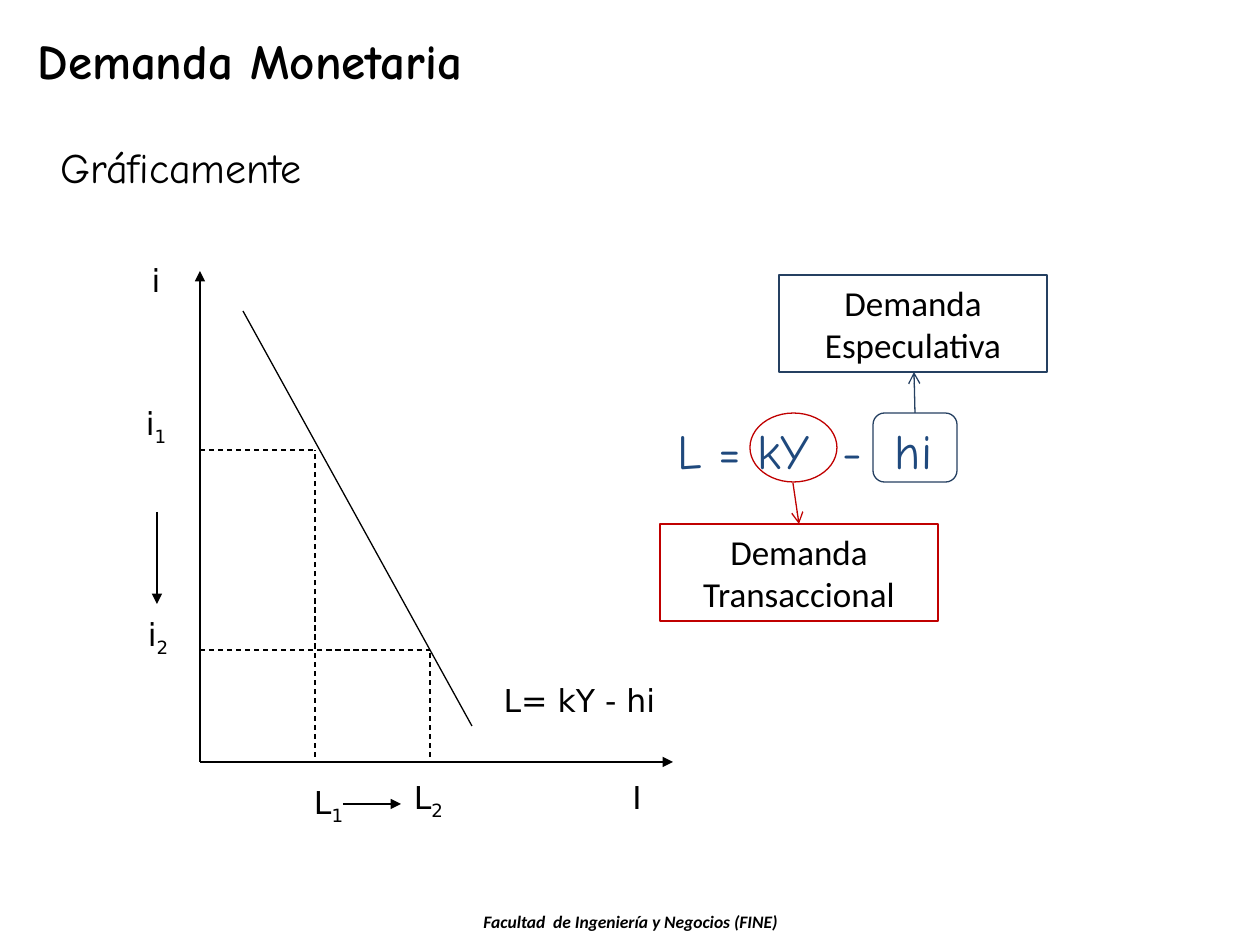
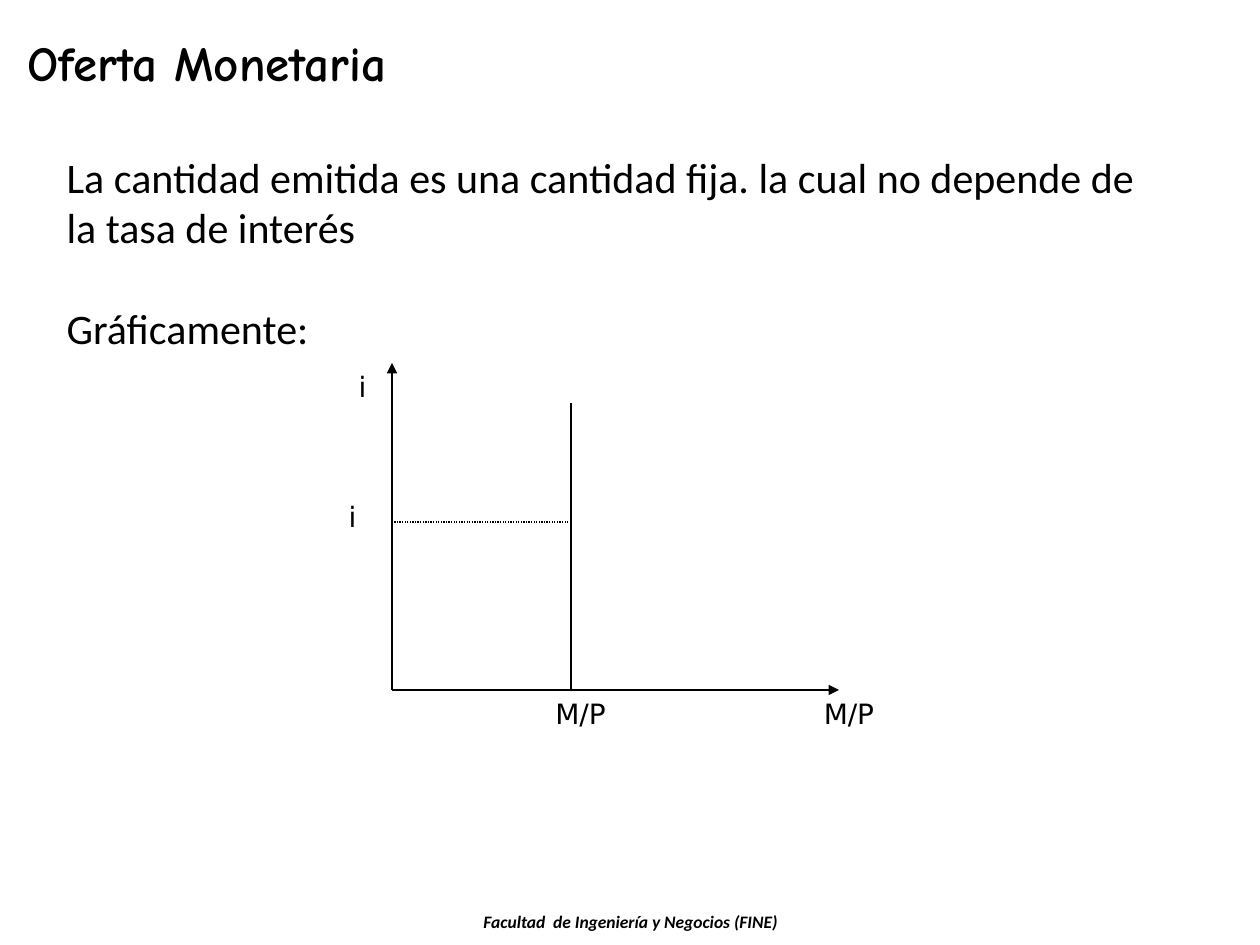
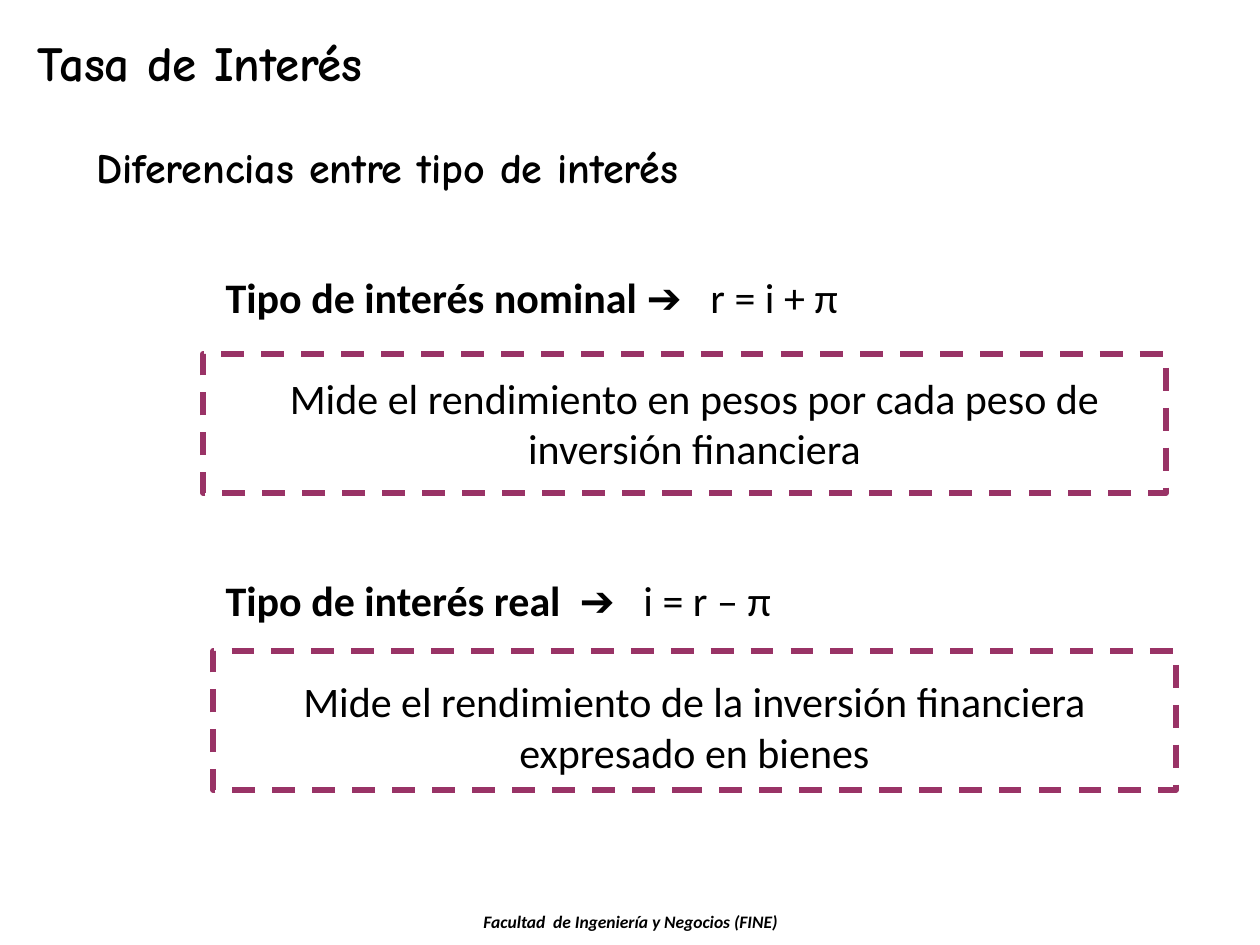
from dataclasses import dataclass

from lxml.etree import SubElement
from pptx import Presentation
from pptx.dml.color import RGBColor
from pptx.enum.dml import MSO_LINE
from pptx.enum.shapes import MSO_CONNECTOR, MSO_SHAPE
from pptx.enum.text import MSO_ANCHOR, MSO_AUTO_SIZE, PP_ALIGN
from pptx.oxml.ns import qn
from pptx.util import Emu, Pt

SCALE = 914400 / 126


@dataclass(frozen=True)
class Theme:
    """Colours, fonts and type sizes of the deck."""
    black: str = "000000"
    blue: str = "1F497D"
    navy: str = "254061"
    red: str = "C00000"
    plum: str = "993366"
    hand: str = "Comic Neue"
    sans: str = "Calibri"
    plot: str = "DejaVu Sans"
    title: int = 28
    body: int = 24
    box: int = 20
    label: int = 18
    small: int = 16
    foot: int = 10
    thin: float = 0.75
    thick: float = 3.25
    blank: int = 29


T = Theme()


def px(*vals):
    """Turn picture pixels into EMU."""
    return [Emu(round(val * SCALE)) for val in vals]


def style(font, name, size, color=T.black, bold=None, italic=None):
    """Set the look of a font."""
    font.name, font.size = name, Pt(size)
    font.color.rgb = RGBColor.from_string(color)
    font.bold, font.italic = bold, italic


def place(shape, x, y, wide, high):
    """Move and size a placeholder."""
    shape.left, shape.top, shape.width, shape.height = px(x, y, wide, high)


def setup(frame, anchor=MSO_ANCHOR.TOP):
    """Make a text frame wrap, keep its size and anchor its text."""
    frame.word_wrap = True
    frame.auto_size = MSO_AUTO_SIZE.NONE
    frame.vertical_anchor = anchor


def write(shapes, text, box, name, size, color=T.black, align=PP_ALIGN.LEFT,
          anchor=MSO_ANCHOR.TOP, bold=None, italic=None):
    """Add a text box of one paragraph and return the paragraph."""
    frame = shapes.add_textbox(*px(*box)).text_frame
    setup(frame, anchor)
    para = frame.paragraphs[0]
    para.text, para.alignment = text, align
    style(para.font, name, size, color, bold, italic)
    return para


def label(shapes, text, x, y, wide, size=T.label, sub=""):
    """Add a centred plot label, with a subscript if given."""
    para = write(shapes, text, (x, y, wide, 50), T.plot, size,
                 align=PP_ALIGN.CENTER)
    if sub:
        run = para.add_run()
        run.text = sub
        run._r.get_or_add_rPr().set("baseline", "-25000")


def line(shapes, start, end, color=T.black, dash=None, head=None):
    """Draw a straight line, with an arrowhead at its end if given."""
    link = shapes.add_connector(MSO_CONNECTOR.STRAIGHT, *px(*start, *end))
    link.line.color.rgb = RGBColor.from_string(color)
    link.line.width = Pt(T.thin)
    if dash:
        link.line.dash_style = dash
    props = link._element.spPr
    if head:
        SubElement(props.find(qn("a:ln")), qn("a:tailEnd"), type=head)
    SubElement(props, qn("a:effectLst"))


def axes(shapes, base, top, right):
    """Draw both axes from their common base point."""
    for end in ((base[0], top), (right, base[1])):
        line(shapes, base, end, head="triangle")


def frame(shapes, kind, box, color, width=T.thin, dash=None, text=""):
    """Add an unfilled outline shape, with centred text if given."""
    shape = shapes.add_shape(kind, *px(*box))
    shape.shadow.inherit = False
    shape.fill.background()
    shape.line.color.rgb = RGBColor.from_string(color)
    shape.line.width = Pt(width)
    if dash:
        shape.line.dash_style = dash
    if text:
        setup(shape.text_frame, MSO_ANCHOR.MIDDLE)
        para = shape.text_frame.paragraphs[0]
        para.text, para.alignment = text, PP_ALIGN.CENTER
        style(para.font, T.sans, T.box)


def fill(body, box, items, name=T.sans):
    """Fill the body with (bold text, plain text, alignment, gap) items."""
    place(body, *box)
    text = body.text_frame
    setup(text)
    for num, (strong, plain, align, gap) in enumerate(items):
        para = text.add_paragraph() if num else text.paragraphs[0]
        props = para._p.get_or_add_pPr()
        props.set("marL", "0")
        props.set("indent", "0")
        SubElement(props, qn("a:buNone"))
        para.alignment, para.space_before = align, Pt(gap)
        style(para.font, name, T.body)
        for part, bold in ((strong, True), (plain, False)):
            if part:
                run = para.add_run()
                run.text, run.font.bold = part, bold


def start(deck, title, x, y):
    """Add a slide with title and footer; return its shapes and body."""
    slide = deck.slides.add_slide(deck.slide_layouts[1])
    head, body = slide.placeholders
    place(head, x, y, 861, 72)
    setup(head.text_frame)
    para = head.text_frame.paragraphs[0]
    para.text, para.alignment = title, PP_ALIGN.LEFT
    style(para.font, T.hand, T.title, bold=True)
    write(slide.shapes, "Facultad  de Ingeniería y Negocios (FINE)",
          (323, 905, 615, 34), T.sans, T.foot, align=PP_ALIGN.CENTER,
          bold=True, italic=True)
    return slide.shapes, body


def demand(deck):
    """Build the money demand slide."""
    shapes, body = start(deck, "Demanda Monetaria", 25, 24)
    fill(body, (48, 135, 1134, 79),
         [("", "Gráficamente", PP_ALIGN.LEFT, 0)], T.hand)

    write(shapes, "L = kY  -  hi", (665, 404, 302, 82), T.hand, T.title,
          T.blue, anchor=MSO_ANCHOR.BOTTOM)
    frame(shapes, MSO_SHAPE.OVAL, (750, 413, 87, 69), T.red)
    frame(shapes, MSO_SHAPE.ROUNDED_RECTANGLE, (873, 413, 84, 69), T.navy)
    frame(shapes, MSO_SHAPE.RECTANGLE, (660, 524, 278, 97), T.red,
          text="Demanda Transaccional")
    frame(shapes, MSO_SHAPE.RECTANGLE, (779, 275, 268, 97), T.navy,
          text="Demanda Especulativa")
    line(shapes, (793, 483), (799, 524), T.red, head="arrow")
    line(shapes, (915, 413), (914, 372), T.navy, head="arrow")

    plot = shapes.add_group_shape().shapes
    left, base = 200, 762
    axes(plot, (left, base), 271, 673)
    line(plot, (243, 311), (472, 726))
    for x, y in ((315, 450), (430, 650)):
        line(plot, (left, y), (x, y), dash=MSO_LINE.DASH)
        line(plot, (x, base - 5), (x, y), dash=MSO_LINE.DASH)
    line(plot, (157, 512), (157, 604), head="triangle")
    line(plot, (343, 804), (401, 804), head="triangle")
    for text, sub, x, y, wide in (
            ("i", "", 113, 255, 86), ("i", "1", 113, 398, 86),
            ("i", "2", 115, 609, 86), ("L", "1", 243, 777, 171),
            ("L", "2", 343, 772, 171), ("I", "", 501, 772, 272),
            ("L= kY - hi", "", 415, 675, 329)):
        label(plot, text, x, y, wide, sub=sub)


def supply(deck):
    """Build the money supply slide."""
    shapes, body = start(deck, "Oferta Monetaria", 15, 26)
    fill(body, (54, 145, 1111, 217), [
        ("", "La cantidad emitida es una cantidad fija. la cual no depende "
         "de la tasa de interés", PP_ALIGN.LEFT, 0),
        ("", "Gráficamente:", PP_ALIGN.LEFT, T.blank)])

    left, base, fixed = 392, 690, 571
    axes(shapes, (left, base), 363, 839)
    line(shapes, (fixed, base), (fixed, 403))
    line(shapes, (fixed, 522), (left, 522), dash=MSO_LINE.ROUND_DOT)
    for text, x, y, wide in (("i", 333, 363, 59), ("i", 323, 493, 59),
                             ("M/P", 541, base, 79), ("M/P", 755, base, 188)):
        label(shapes, text, x, y, wide, T.small)


def rates(deck):
    """Build the interest rate slide."""
    shapes, body = start(deck, "Tasa de Interés", 25, 26)
    write(shapes, "Diferencias entre tipo de interés", (84, 135, 708, 63),
          T.hand, T.body, bold=True)
    fill(body, (213, 265, 963, 522), [
        ("Tipo de interés nominal ", "➔   r = i + π", PP_ALIGN.LEFT, 0),
        ("", "Mide el rendimiento en pesos por cada peso de inversión "
         "financiera", PP_ALIGN.CENTER, T.blank),
        ("Tipo de interés real  ➔   ", "i = r – π", PP_ALIGN.LEFT,
         2 * T.blank),
        ("", "Mide el rendimiento de la inversión financiera expresado "
         "en bienes", PP_ALIGN.CENTER, T.blank)])
    for x, y in ((203, 354), (213, 651)):
        frame(shapes, MSO_SHAPE.RECTANGLE, (x, y, 963, 139), T.plum,
              T.thick, MSO_LINE.DASH)


def main():
    """Build and save the deck."""
    deck = Presentation()
    deck.slide_width, deck.slide_height = px(1260, 945)
    demand(deck)
    supply(deck)
    rates(deck)
    deck.save("out.pptx")


main()
